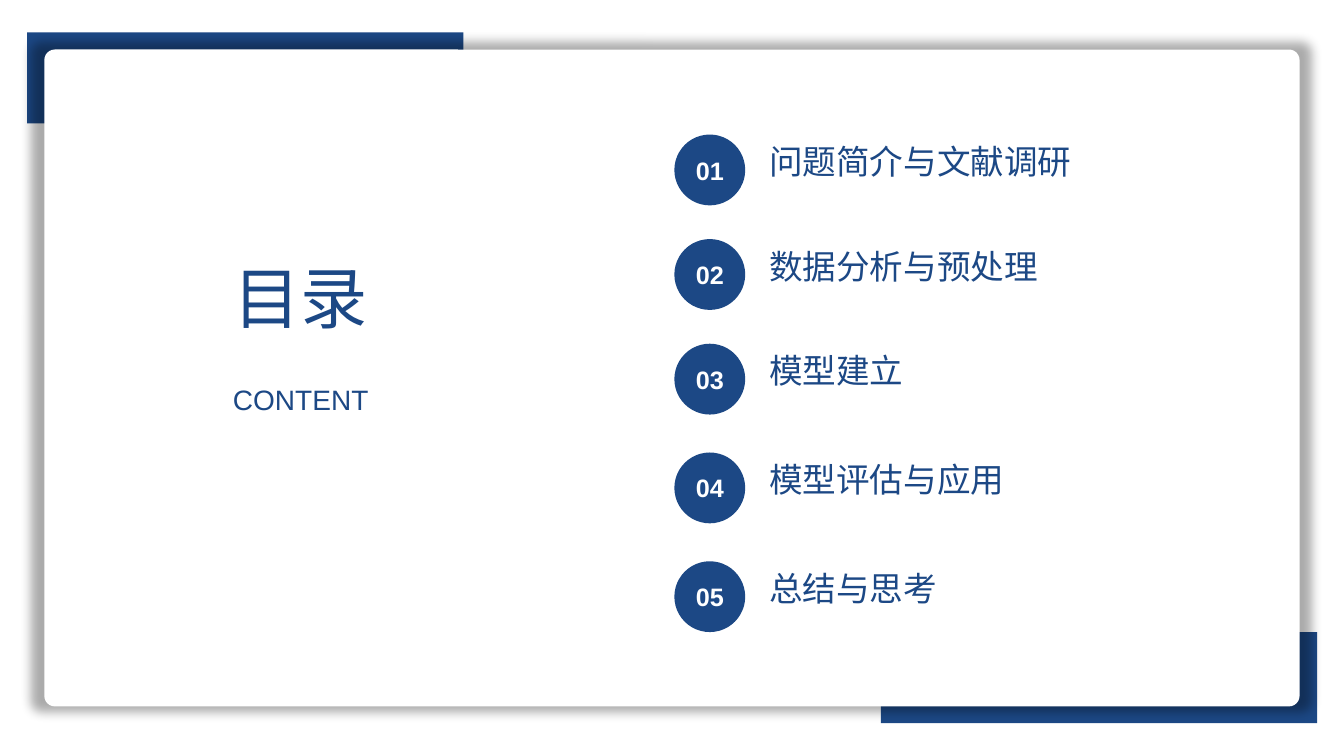
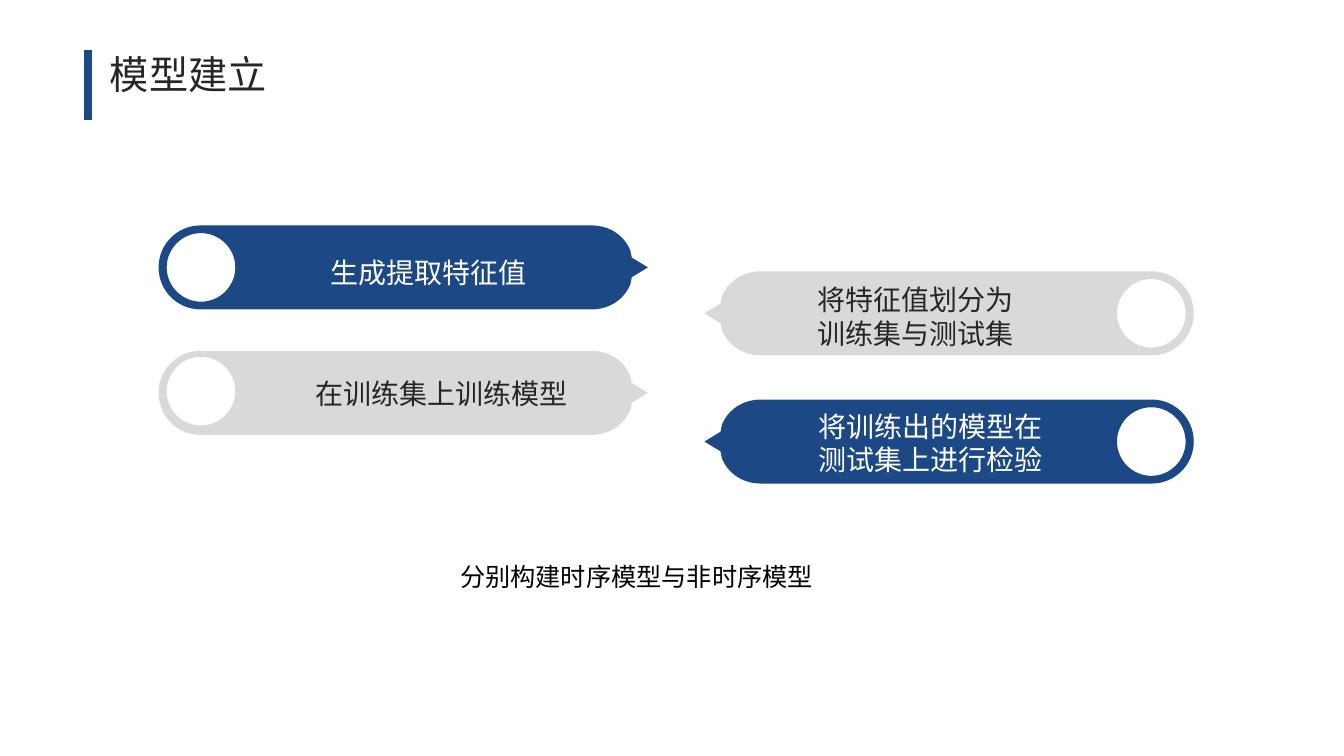
import dataclasses

import lxml.etree
import pptx
import pptx.dml.color
import pptx.enum.shapes
import pptx.enum.text
import pptx.oxml
import pptx.oxml.ns
import pptx.util

Pt = pptx.util.Pt
qn = pptx.oxml.ns.qn
SHAPES = pptx.enum.shapes.MSO_SHAPE
ALIGN = pptx.enum.text.PP_ALIGN
ANCHOR = pptx.enum.text.MSO_ANCHOR


@dataclasses.dataclass(frozen=True)
class Theme:
    font: str = "Arial"
    blue: str = "1C4885"
    grey: str = "D9D9D9"
    dark: str = "262626"
    black: str = "000000"
    white: str = "FFFFFF"
    cover_size: int = 48
    title_size: int = 28
    item_size: int = 24
    label_size: int = 20
    small_size: int = 18


THEME = Theme()


def colour(value):
    return pptx.dml.color.RGBColor.from_string(value)


def write(frame, *lines, size, fill, bold=False, align=ALIGN.LEFT, anchor=ANCHOR.TOP):
    frame.word_wrap = True
    frame.auto_size = pptx.enum.text.MSO_AUTO_SIZE.NONE
    frame.vertical_anchor = anchor
    for index, line in enumerate(lines):
        para = frame.add_paragraph() if index else frame.paragraphs[0]
        para.alignment = align
        span = para.add_run()
        span.text = line
        span.font.name = THEME.font
        span.font.size = Pt(size)
        span.font.bold = bold
        span.font.color.rgb = colour(fill)


def circle(x, y, radius):
    bend = radius * 0.55
    return [
        [(x, y - radius)],
        [(x - bend, y - radius), (x - radius, y - bend), (x - radius, y)],
        [(x - radius, y + bend), (x - bend, y + radius), (x, y + radius)],
        [(x + bend, y + radius), (x + radius, y + bend), (x + radius, y)],
        [(x + radius, y - bend), (x + bend, y - radius), (x, y - radius)],
    ]


class Deck:
    def __init__(self):
        self.deck = pptx.Presentation()
        self.deck.slide_width = Pt(960)
        self.deck.slide_height = Pt(540)
        self.page = None

    def add_page(self, layout):
        self.page = self.deck.slides.add_slide(self.deck.slide_layouts.get_by_name(layout))

    def place(self, box, left, top, width, height):
        box.left, box.top, box.width, box.height = Pt(left), Pt(top), Pt(width), Pt(height)
        self.page.shapes._spTree.append(box._element)

    def title(self, text, *position, **style):
        box = self.page.shapes.title
        self.place(box, *position)
        write(box.text_frame, text, **style)

    def items(self, lines, steps, *position, **style):
        box = self.page.placeholders[1]
        self.place(box, *position)
        write(box.text_frame, *lines, **style)
        line_height = 30
        for para, step in zip(box.text_frame.paragraphs, [line_height, *steps]):
            para.line_spacing = Pt(line_height)
            para.space_before = Pt(step - line_height)
            properties = para._p.get_or_add_pPr()
            properties.set("marL", "0")
            properties.set("indent", "0")
            lxml.etree.SubElement(properties, qn("a:buNone"))

    def text(self, text, *position, **style):
        box = self.page.shapes.add_textbox(*map(Pt, position))
        write(box.text_frame, text, **style)

    def paint(self, box, fill):
        box.shadow.inherit = False
        box.fill.solid()
        box.fill.fore_color.rgb = colour(fill)
        box.line.fill.background()
        return box

    def shape(self, kind, *position, fill):
        return self.paint(self.page.shapes.add_shape(kind, *map(Pt, position)), fill)

    def card(self, *position):
        box = self.shape(SHAPES.ROUNDED_RECTANGLE, *position, fill=THEME.white)
        box.adjustments[0] = 0.016
        effects = box._element.spPr.find(qn("a:effectLst"))
        effects.append(pptx.oxml.parse_xml(
            f'<a:outerShdw {pptx.oxml.ns.nsdecls("a")} blurRad="101600" sx="102000" sy="102000" '
            'algn="ctr" rotWithShape="0"><a:prstClr val="black"><a:alpha val="32000"/>'
            '</a:prstClr></a:outerShdw>'))

    def badge(self, text, left, top, diameter):
        box = self.shape(SHAPES.OVAL, left, top, diameter, diameter, fill=THEME.blue)
        write(box.text_frame, text, size=THEME.small_size, fill=THEME.white, bold=True,
              align=ALIGN.CENTER, anchor=ANCHOR.MIDDLE)

    def bar(self, left, top, bottom, width):
        line = self.page.shapes.add_connector(
            pptx.enum.shapes.MSO_CONNECTOR.STRAIGHT, Pt(left), Pt(top), Pt(left), Pt(bottom))
        line.line.color.rgb = colour(THEME.blue)
        line.line.width = Pt(width)
        lxml.etree.SubElement(line._element.spPr, qn("a:effectLst"))

    def outline(self, contours, fill):
        builder = None
        for start, *segments in contours:
            corner = tuple(map(Pt, start[0]))
            if builder is None:
                builder = self.page.shapes.build_freeform(*corner)
            else:
                builder.move_to(*corner)
            points = [tuple(map(Pt, point)) for segment in segments for point in segment]
            builder.add_line_segments(points, close=True)
        box = self.paint(builder.convert_to_shape(), fill)
        lines = iter(list(box._element.iter(qn("a:lnTo"))))
        for _, *segments in contours:
            for segment in segments:
                steps = [next(lines) for _ in segment]
                if len(steps) == 3:
                    curve = lxml.etree.Element(qn("a:cubicBezTo"))
                    steps[0].addprevious(curve)
                    for step in steps:
                        curve.append(step[0])
                        step.getparent().remove(step)

    def pill(self, left, top, fill, mirrored=False, hole_rise=0):
        length, height, radius = 349.5, 60, 30
        body = [
            [(radius, 0)], [(309, 0)],
            [(322, 0), (332.5, 7), (337, 18)], [(338, 23)],
            [(length, radius)], [(338, 37)], [(337, 42)],
            [(332.5, 53), (322, height), (309, height)], [(radius, height)],
            [(13.4, height), (0, 46.6), (0, radius)],
            [(0, 13.4), (13.4, 0), (radius, 0)],
        ]
        hole = circle(30.3, radius - hole_rise, 24.5)
        contours = [
            [[(left + (length - x if mirrored else x), top + y) for x, y in segment]
             for segment in contour]
            for contour in (hole, body)
        ]
        self.outline(contours, fill)

    def save(self):
        self.deck.save("out.pptx")


def add_contents(deck):
    deck.add_page("Title and Content")
    for left, top in ((629.3, 451.6), (19.4, 23.2)):
        deck.shape(SHAPES.RECTANGLE, left, top, 311.6, 65, fill=THEME.blue)
    deck.card(31.7, 35.4, 896.6, 469.2)
    deck.title("目录", 159.3, 179.5, 183, 65.5, size=THEME.cover_size, fill=THEME.blue)
    deck.text("CONTENT", 159.3, 269.6, 183, 31.7, size=THEME.label_size, fill=THEME.blue)
    topics = ["问题简介与文献调研", "数据分析与预处理", "模型建立", "模型评估与应用", "总结与思考"]
    steps = [74.7, 74.7, 77.7, 77.7]
    first_top = 96.1
    for index in range(len(topics)):
        deck.badge(f"{index + 1:02}", 481.7, first_top + sum(steps[:index]), 50.6)
    deck.items(topics, steps, 542.2, first_top, 291.6, 341, size=THEME.item_size, fill=THEME.blue)


def add_model(deck):
    deck.add_page("Title Only")
    deck.title("模型建立", 71.3, 32.4, 200, 41, size=THEME.title_size, fill=THEME.dark)
    deck.bar(62.9, 36, 85.7, 6)
    stages = [
        ("生成提取特征值", (113.3, 161), False, 0, (227.1, 179.3, 156.2, 26), True),
        ("在训练集上训练模型", (113.3, 250.6), False, 1.2, (207.4, 265.2, 205.2, 33.8), False),
        ("将特征值划分为训练集与测试集", (503.2, 193.8), True, 0, (572, 198.5, 159.1, 49.7), False),
        ("将训练出的模型在测试集上进行检验", (503.2, 285.4), True, 0, (572, 288.7, 180, 52.6), True),
    ]
    for text, corner, mirrored, hole_rise, position, strong in stages:
        deck.pill(*corner, THEME.blue if strong else THEME.grey, mirrored, hole_rise)
        deck.text(text, *position, size=THEME.label_size, align=ALIGN.RIGHT,
                  fill=THEME.white if strong else THEME.dark)
    deck.text("分别构建时序模型与非时序模型", 321.6, 397.4, 295.9, 28.8,
              size=THEME.small_size, fill=THEME.black)


def main():
    deck = Deck()
    add_contents(deck)
    add_model(deck)
    deck.save()


if __name__ == "__main__":
    main()
